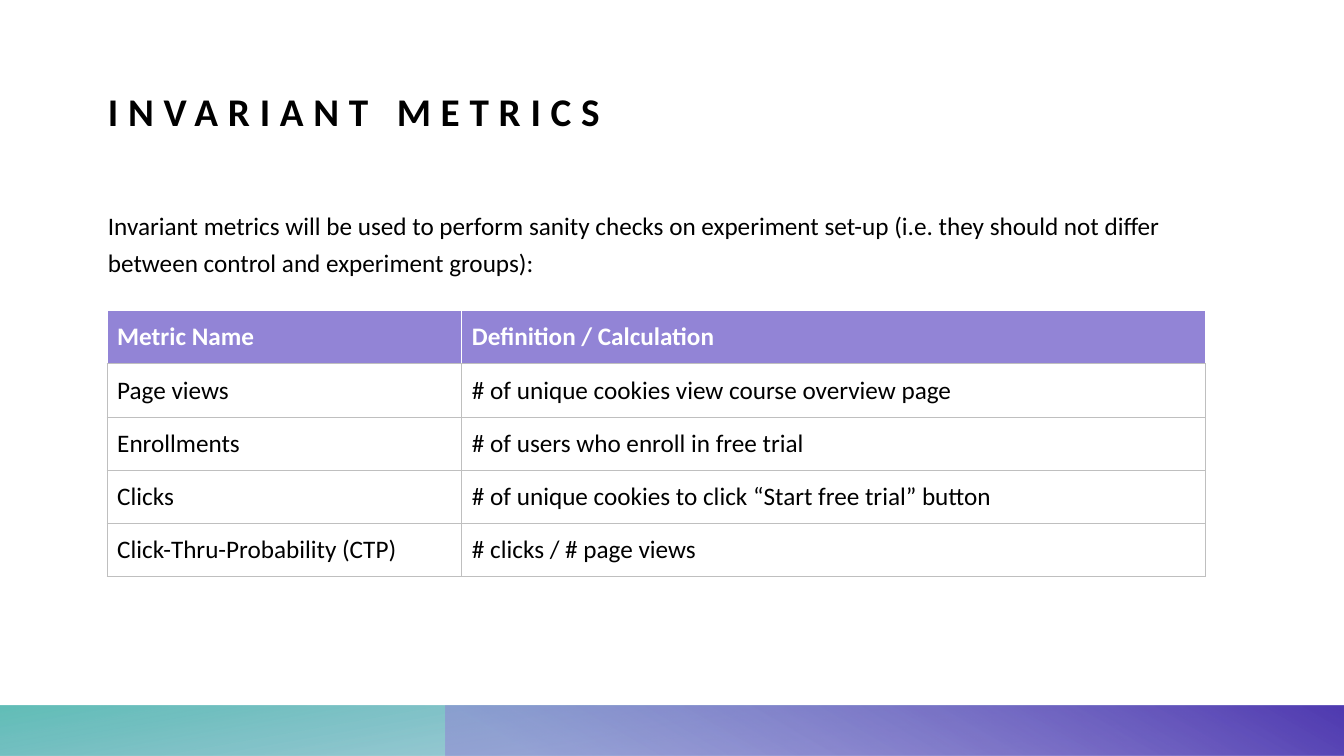
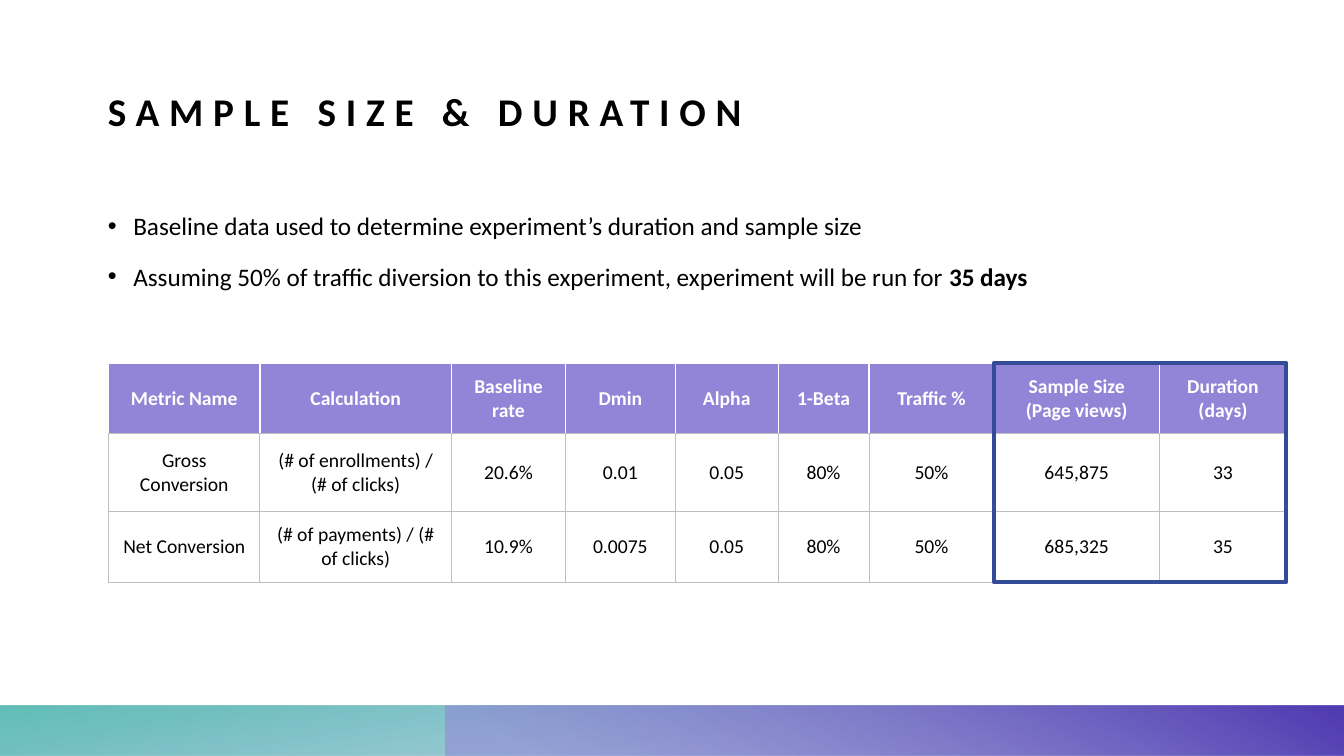
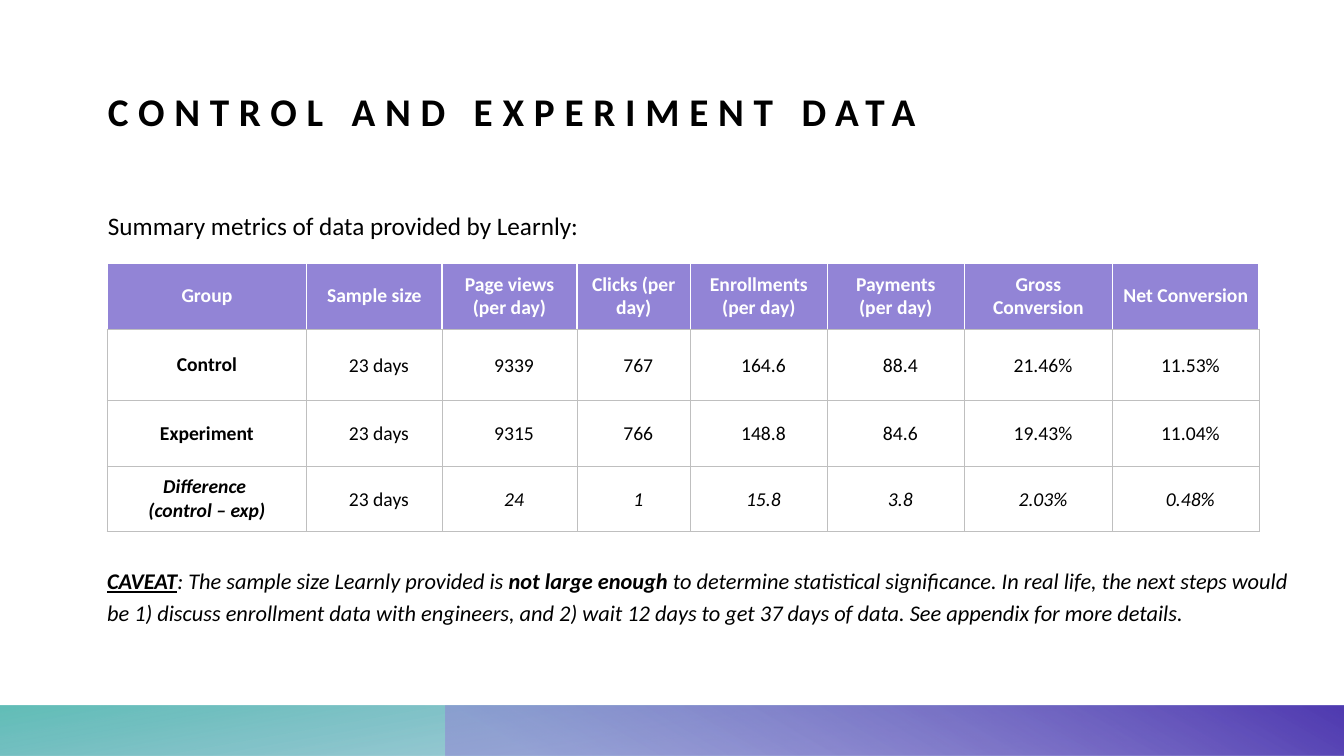
from itertools import product

from lxml import etree
from pptx import Presentation
from pptx.dml.color import RGBColor
from pptx.enum.shapes import MSO_SHAPE
from pptx.enum.text import MSO_ANCHOR, MSO_AUTO_SIZE, PP_ALIGN
from pptx.oxml.ns import qn
from pptx.util import Cm, Pt

RECTANGLE = MSO_SHAPE.RECTANGLE
TOP, MIDDLE = MSO_ANCHOR.TOP, MSO_ANCHOR.MIDDLE
LEFT, CENTER = PP_ALIGN.LEFT, PP_ALIGN.CENTER
NO_FIT = MSO_AUTO_SIZE.NONE

COLORS = {
    "text": "000000",
    "paper": "FFFFFF",
    "header": "9284D6",
    "grid": "BFBFBF",
    "highlight": "334B99",
    "blue": "3B88B1",
    "teal": "46B3AB",
    "violet": "503BB1",
}
FONT = "Calibri"
PAGE_WIDTH, PAGE_HEIGHT = 33.87, 19.05
MARGIN = 2.72
TITLE_BOX = (MARGIN, 2.21, 28.45, 3.43)
BODY_BOX = (MARGIN, 5.16, 28.45, 11)
BAND_HEIGHT = 1.27
BAND_SPLIT = 11.22
BULLET_INDENT = 0.64
VALUE_INSETS = (0.25, 0.02, 0.02, 0)


def color(name):
    return RGBColor.from_string(COLORS[name])


def style_font(font, size, name="text", bold=None, italic=None):
    font.name = FONT
    font.size = Pt(size)
    font.color.rgb = color(name)
    font.bold = bold
    font.italic = italic


def clear_insets(frame):
    frame.margin_left = frame.margin_top = frame.margin_right = frame.margin_bottom = 0
    frame.word_wrap = True
    frame.auto_size = NO_FIT
    frame.vertical_anchor = TOP


def add_band(page, box, stops, angle):
    band = page.shapes.add_shape(RECTANGLE, *map(Cm, box))
    band.shadow.inherit = False
    band.line.fill.background()
    band.fill.gradient()
    band.fill.gradient_angle = 360 - angle
    for stop, (position, name, _) in zip(band.fill.gradient_stops, stops):
        stop.position = position
        stop.color.rgb = color(name)
    for tint, (_, _, opacity) in zip(band.element.spPr.iter(qn("a:srgbClr")), stops):
        etree.SubElement(tint, qn("a:alpha"), val=str(opacity * 1000))
    band.element.spPr.find(qn("a:xfrm")).set("flipH", "1")
    return band


def add_footer_bands(page, layout):
    top = PAGE_HEIGHT - BAND_HEIGHT
    teal = add_band(page, (0, top, PAGE_WIDTH, BAND_HEIGHT),
                    [(0.14, "blue", 28), (1, "teal", 85)], 100)
    teal.rotation = 180
    violet = add_band(page, (BAND_SPLIT, top, PAGE_WIDTH - BAND_SPLIT, BAND_HEIGHT),
                      [(0.09, "header", 55), (0.99, "violet", 100)], 240)
    for band in (teal, violet):
        layout.shapes.element.append(band.element)


def add_page(deck, text):
    page = deck.slides.add_slide(deck.slide_layouts[5])
    title = page.shapes.title
    title.left, title.top, title.width, title.height = map(Cm, TITLE_BOX)
    clear_insets(title.text_frame)
    para = title.text_frame.paragraphs[0]
    para.alignment = LEFT
    span = para.add_run()
    span.text = text
    style_font(para.font, 28, bold=True)
    span._r.get_or_add_rPr().set("spc", "700")
    return page


def add_text(page, box, paragraphs, size=18, bullets=False, italic=None):
    frame = page.shapes.add_textbox(*map(Cm, box)).text_frame
    clear_insets(frame)
    for index, spans in enumerate(paragraphs):
        para = frame.paragraphs[0] if index == 0 else frame.add_paragraph()
        para.line_spacing = 1.2
        para.space_before = Pt(10)
        if bullets:
            properties = para._p.get_or_add_pPr()
            properties.set("marL", str(Cm(BULLET_INDENT)))
            properties.set("indent", str(-Cm(BULLET_INDENT)))
            etree.SubElement(properties, qn("a:buFont"), typeface="Arial")
            etree.SubElement(properties, qn("a:buChar"), char="•")
        style_font(para.font, size, italic=italic)
        for text, *marks in spans:
            span = para.add_run()
            span.text = text
            for mark in marks:
                setattr(span.font, mark, True)


def set_borders(cell, is_header):
    properties = cell._tc.get_or_add_tcPr()
    for side in ("L", "R", "T", "B"):
        white = is_header and side != "B"
        line = etree.SubElement(properties, qn(f"a:ln{side}"), w=str(Pt(1 if white else 0.75)))
        fill = etree.SubElement(line, qn("a:solidFill"))
        etree.SubElement(fill, qn("a:srgbClr"), val=COLORS["paper" if white else "grid"])


def add_grid(page, left, top, widths, heights, rows, size, alignment=LEFT,
             bold_labels=False, insets=None, italic_cells=()):
    box = map(Cm, (left, top, sum(widths), sum(heights)))
    table = page.shapes.add_table(len(heights), len(widths), *box).table
    table.horz_banding = False
    for column, width in zip(table.columns, widths):
        column.width = Cm(width)
    for row, height in zip(table.rows, heights):
        row.height = Cm(height)
    for r, c in product(range(len(heights)), range(len(widths))):
        cell = table.cell(r, c)
        is_header = r == 0
        set_borders(cell, is_header)
        cell.fill.solid()
        cell.fill.fore_color.rgb = color("header" if is_header else "paper")
        cell.vertical_anchor = MIDDLE
        if insets and r and c:
            (cell.margin_left, cell.margin_top,
             cell.margin_right, cell.margin_bottom) = map(Cm, insets)
        cell.text_frame.text = rows[r][c]
        for para in cell.text_frame.paragraphs:
            para.alignment = alignment
            style_font(para.font, size, "paper" if is_header else "text",
                       bold=is_header or (bold_labels and c == 0),
                       italic=(r, c) in italic_cells)


def add_highlight(page, box):
    frame = page.shapes.add_shape(RECTANGLE, *map(Cm, box))
    frame.shadow.inherit = False
    frame.fill.background()
    frame.line.color.rgb = color("highlight")
    frame.line.width = Pt(3)


def build_invariant_metrics(deck):
    page = add_page(deck, "INVARIANT METRICS")
    add_text(page, BODY_BOX, [[(
        "Invariant metrics will be used to perform sanity checks on experiment set-up "
        "(i.e. they should not differ between control and experiment groups):",)]])
    rows = [
        ("Metric Name", "Definition / Calculation"),
        ("Page views", "# of unique cookies view course overview page"),
        ("Enrollments", "# of users who enroll in free trial"),
        ("Clicks", "# of unique cookies to click “Start free trial” button"),
        ("Click-Thru-Probability (CTP)", "# clicks / # page views"),
    ]
    add_grid(page, 2.7, 7.83, [8.94, 18.75], [1.34] * len(rows), rows, 18)
    return page


def build_sample_size(deck):
    page = add_page(deck, "SAMPLE SIZE & DURATION")
    left, top = 2.74, 9.15
    widths = [3.81, 4.83, 2.87, 2.77, 2.59, 2.29, 3.15, 4.17, 3.2]
    heights = [1.78, 1.96, 1.78]
    rows = [
        ("Metric Name", "Calculation", "Baseline rate", "Dmin", "Alpha", "1-Beta",
         "Traffic %", "Sample Size (Page views)", "Duration (days)"),
        ("Gross Conversion", "(# of enrollments) / (# of clicks)", "20.6%", "0.01",
         "0.05", "80%", "50%", "645,875", "33"),
        ("Net Conversion", "(# of payments) / (# of clicks)", "10.9%", "0.0075",
         "0.05", "80%", "50%", "685,325", "35"),
    ]
    add_grid(page, left, top, widths, heights, rows, 14, CENTER)
    add_text(page, BODY_BOX, [
        [("Baseline data used to determine experiment’s duration and sample size",)],
        [("Assuming 50% of traffic diversion to this experiment, experiment will be run for ",),
         ("35 days", "bold")],
    ], bullets=True)
    add_highlight(page, (left + sum(widths[:-2]), top, sum(widths[-2:]), sum(heights)))


def build_experiment_data(deck):
    page = add_page(deck, "CONTROL AND EXPERIMENT DATA")
    rows = [
        ("Group", "Sample size", "Page views (per day)", "Clicks (per day)",
         "Enrollments (per day)", "Payments (per day)", "Gross Conversion", "Net Conversion"),
        ("Control", "23 days", "9339", "767", "164.6", "88.4", "21.46%", "11.53%"),
        ("Experiment", "23 days", "9315", "766", "148.8", "84.6", "19.43%", "11.04%"),
        ("Difference \n(control – exp)", "23 days", "24", "1", "15.8", "3.8", "2.03%", "0.48%"),
    ]
    widths = [5.03, 3.41, 3.4, 2.86, 3.45, 3.45, 3.74, 3.69]
    difference_cells = {(3, c) for c in range(len(widths)) if c != 1}
    add_grid(page, 2.7, 6.64, widths, [1.65, 1.81, 1.65, 1.65], rows, 14, CENTER,
             bold_labels=True, insets=VALUE_INSETS, italic_cells=difference_cells)
    add_text(page, (*BODY_BOX[:3], 1.47), [[("Summary metrics of data provided by Learnly:",)]])
    add_text(page, (2.7, 14.15, 29.97, 2.69), [[
        ("CAVEAT", "bold", "underline"),
        (": The sample size Learnly provided is ",),
        ("not large enough ", "bold"),
        ("to determine statistical significance. In real life, the next steps would be "
         "1) discuss enrollment data with engineers, and 2) wait 12 days to get 37 days "
         "of data. See appendix for more details.",),
    ]], size=16, italic=True)


def main():
    deck = Presentation()
    deck.slide_width, deck.slide_height = Cm(PAGE_WIDTH), Cm(PAGE_HEIGHT)
    first_page = build_invariant_metrics(deck)
    add_footer_bands(first_page, first_page.slide_layout)
    build_sample_size(deck)
    build_experiment_data(deck)
    deck.save("out.pptx")


if __name__ == "__main__":
    main()
